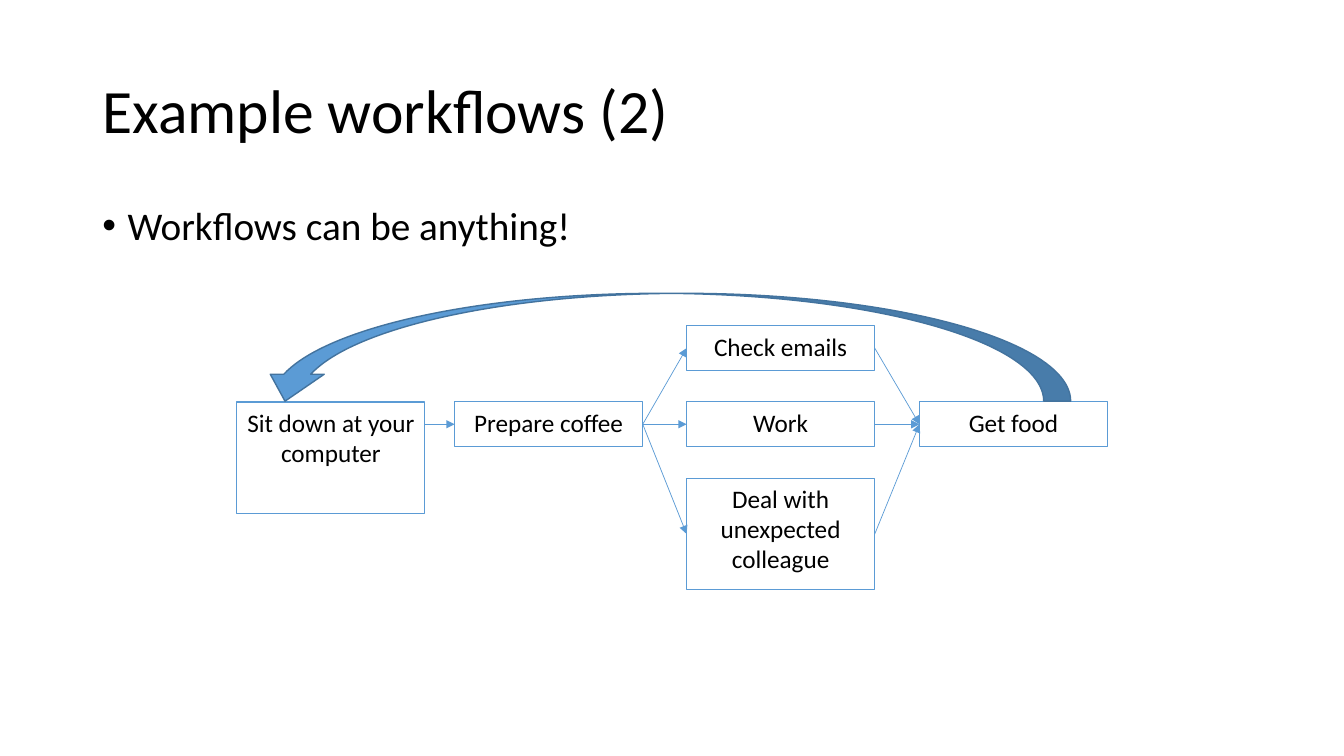
"""Builds a slide showing an office day as a looping workflow."""
import pptx
import pptx.util
import pptx.dml.color
import pptx.enum.shapes
import pptx.enum.text
import pptx.oxml
import pptx.oxml.ns

BLACK = pptx.dml.color.RGBColor(0x00, 0x00, 0x00)
BLUE = pptx.dml.color.RGBColor(0x5B, 0x9B, 0xD5)
NAVY = pptx.dml.color.RGBColor(0x43, 0x73, 0x9E)
SHAPE = pptx.enum.shapes.MSO_SHAPE
ALIGN = pptx.enum.text.PP_ALIGN
ANCHOR = pptx.enum.text.MSO_ANCHOR
COLS, ROWS = 80, 45
LEFT, RIGHT = 1, 3


class Board:
    def __init__(self, deck, font):
        self.slide = deck.slides.add_slide(deck.slide_layouts[6])
        self.shapes = self.slide.shapes
        self.font = font
        self.col = deck.slide_width / COLS
        self.row = deck.slide_height / ROWS

    def place(self, x, y, w, h):
        return (round(x * self.col), round(y * self.row),
                round(w * self.col), round(h * self.row))

    def label(self, shape, words, size, align, anchor):
        frame = shape.text_frame
        frame.word_wrap = True
        frame.vertical_anchor = anchor
        para = frame.paragraphs[0]
        para.alignment = align
        run = para.add_run()
        run.text = words
        run.font.name = self.font
        run.font.size = pptx.util.Pt(size)
        run.font.color.rgb = BLACK
        return para

    def text(self, area, words, size, anchor):
        shape = self.shapes.add_textbox(*self.place(*area))
        para = self.label(shape, words, size, ALIGN.LEFT, anchor)
        para.line_spacing = 0.9
        return para

    def bullet(self, area, words, size):
        para = self.text(area, words, size, ANCHOR.TOP)
        para.space_before = pptx.util.Pt(10)
        props = para._p.get_or_add_pPr()
        indent = pptx.util.Inches(0.25)
        props.set("marL", str(indent))
        props.set("indent", str(-indent))
        for tag, key, value in (("a:buFont", "typeface", "Arial"),
                                ("a:buChar", "char", "•")):
            mark = pptx.oxml.parse_xml(
                f'<{tag} {pptx.oxml.ns.nsdecls("a")} {key}="{value}"/>')
            props.append(mark)

    def box(self, area, words):
        shape = self.shapes.add_shape(SHAPE.RECTANGLE, *self.place(*area))
        shape.shadow.inherit = False
        shape.fill.background()
        shape.line.color.rgb = BLUE
        shape.line.width = pptx.util.Pt(0.75)
        self.label(shape, words, 18, ALIGN.CENTER, ANCHOR.TOP)
        return shape

    def arrow(self, start, end):
        line = self.shapes.add_connector(
            pptx.enum.shapes.MSO_CONNECTOR.STRAIGHT, 0, 0, 0, 0)
        line.begin_connect(start, RIGHT)
        line.end_connect(end, LEFT)
        line.line.color.rgb = BLUE
        line.line.width = pptx.util.Pt(0.5)
        space = pptx.oxml.ns.nsdecls("a")
        tip = pptx.oxml.parse_xml(f'<a:tailEnd {space} type="triangle"/>')
        line.line._get_or_add_ln().append(tip)
        bare = pptx.oxml.parse_xml(f"<a:effectLst {space}/>")
        line._element.spPr.append(bare)

    def loop(self, area):
        shape = self.shapes.add_shape(SHAPE.CURVED_UP_ARROW,
                                      *self.place(*area))
        shape.rotation = 180
        shape.shadow.inherit = False
        shape.fill.solid()
        shape.fill.fore_color.rgb = BLUE
        shape.line.color.rgb = NAVY
        shape.line.width = pptx.util.Pt(1)


def main():
    deck = pptx.Presentation()
    deck.slide_width = pptx.util.Inches(13.33)
    deck.slide_height = pptx.util.Inches(7.5)
    board = Board(deck, "Calibri")
    board.text((5.5, 2.4, 69, 8.7), "Example workflows (2)", 44,
               ANCHOR.MIDDLE)
    board.bullet((5.5, 12, 69, 28.6), "Workflows can be anything!", 28)

    wide, low, tall, gap = 11.2, 2.65, 6.65, 1.88
    top = 19.4
    mid = top + low + gap
    sit = board.box((14.1, mid, wide, tall), "Sit down at your computer")
    brew = board.box((27.06, mid, wide, low), "Prepare coffee")
    tasks = []
    for words, high in (("Check emails", low), ("Work", low),
                        ("Deal with unexpected colleague", tall)):
        tasks.append(board.box((40.87, top, wide, high), words))
        top += high + gap
    food = board.box((54.73, mid, wide, low), "Get food")

    flat = board.place(0, 0, wide, low)[3]
    full = sit.height
    sit.height = flat
    board.arrow(sit, brew)
    sit.height = full
    for task in tasks:
        board.arrow(brew, task)
        board.arrow(task, food)
    board.loop((15.36, 17.46, 48.37, 6.42))
    deck.save("out.pptx")


if __name__ == "__main__":
    main()
